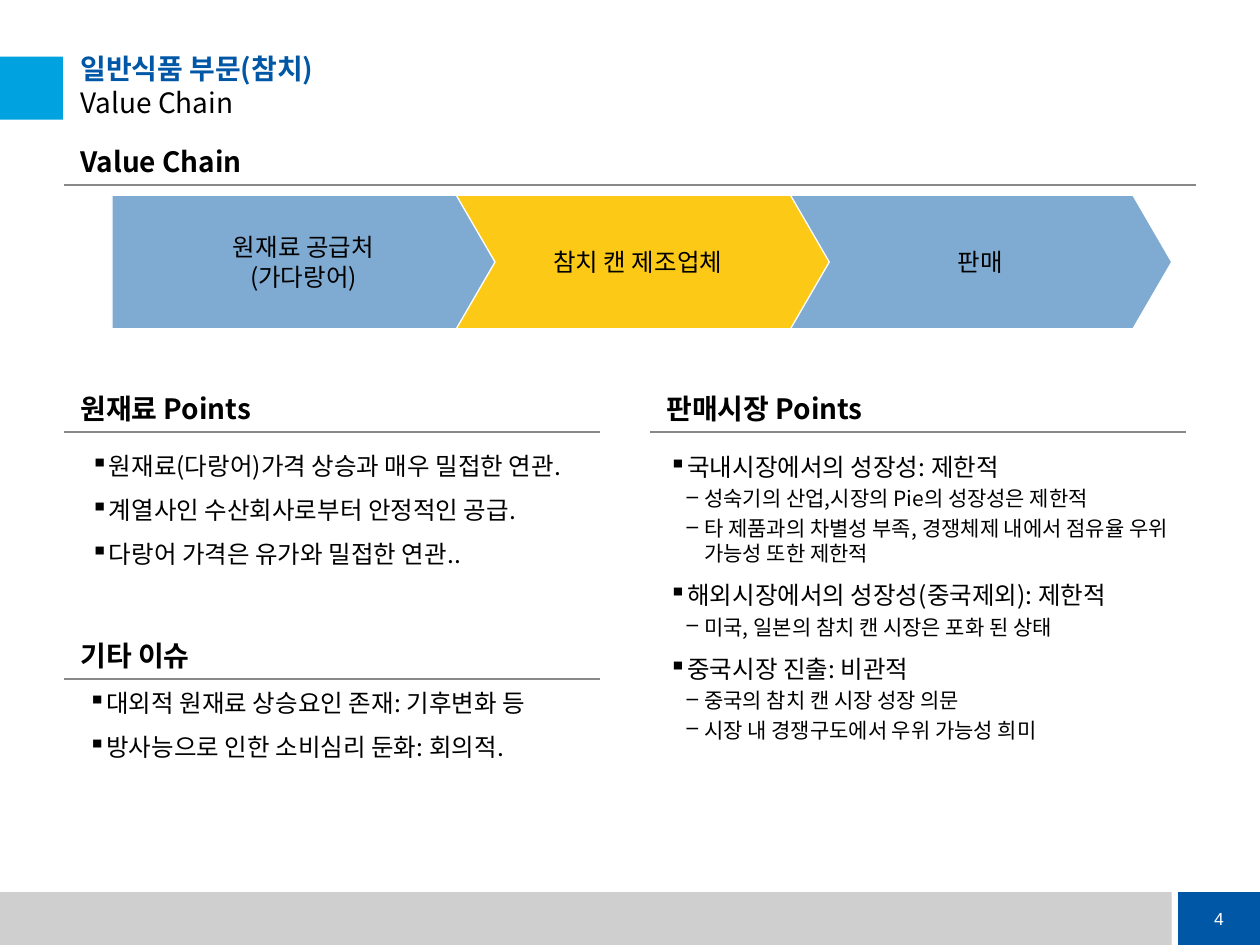
from dataclasses import dataclass
from typing import Optional

from lxml.etree import SubElement
from pptx import Presentation
from pptx.dml.color import RGBColor
from pptx.enum.shapes import MSO_CONNECTOR, MSO_SHAPE
from pptx.enum.text import MSO_ANCHOR, PP_ALIGN
from pptx.oxml.ns import qn
from pptx.util import Pt

COLORS = {
    "blue": "0057A6", "cyan": "00A2DF", "grey": "CFCFCF", "rule": "888888",
    "chain": "7FABD2", "focus": "FCC917", "black": "000000", "white": "FFFFFF",
}
FONT = "Noto Sans CJK KR"
INDENT = 10.08


@dataclass
class Stage:
    left: float
    color: str
    lines: list[str]
    label_width: float
    label_height: float


@dataclass
class Section:
    left: float
    top: float
    title: str
    rule_length: float = 306


@dataclass
class Level:
    bullet: str
    size: float
    space_before: float


@dataclass
class BulletList:
    left: float
    top: float
    height: float
    items: list[tuple[int, str]]


LEVELS = [Level("▪", 14, 8.4), Level("–", 12, 2.4)]

STAGES = [
    Stage(64, "chain", ["원재료 공급처", "(가다랑어)"], 170, 41),
    Stage(255, "focus", ["참치 캔 제조업체"], 135.4, 24.5),
    Stage(450.7, "chain", ["판매"], 49.7, 24.5),
]
CHAIN_TOP, STAGE_WIDTH, STAGE_HEIGHT = 111.6, 218.9, 76.3

SECTIONS = [
    Section(46, 82.8, "Value Chain", 646.6),
    Section(46, 223.9, "원재료 Points"),
    Section(380.9, 223.9, "판매시장 Points"),
    Section(46, 365, "기타 이슈"),
]

LISTS = [
    BulletList(51.8, 257.8, 73.4, [
        (0, "원재료(다랑어)가격 상승과 매우 밀접한 연관."),
        (0, "계열사인 수산회사로부터 안정적인 공급."),
        (0, "다랑어 가격은 유가와 밀접한 연관.."),
    ]),
    BulletList(382.3, 258.5, 164.2, [
        (0, "국내시장에서의 성장성: 제한적"),
        (1, "성숙기의 산업,시장의 Pie의 성장성은 제한적"),
        (1, "타 제품과의 차별성 부족, 경쟁체제 내에서 점유율 우위 가능성 또한 제한적"),
        (0, "해외시장에서의 성장성(중국제외): 제한적"),
        (1, "미국, 일본의 참치 캔 시장은 포화 된 상태"),
        (0, "중국시장 진출: 비관적"),
        (1, "중국의 참치 캔 시장 성장 의문"),
        (1, "시장 내 경쟁구도에서 우위 가능성 희미"),
    ]),
    BulletList(50.4, 393.1, 73.4, [
        (0, "대외적 원재료 상승요인 존재: 기후변화 등"),
        (0, "방사능으로 인한 소비심리 둔화: 회의적."),
    ]),
]


def rgb(color: str) -> RGBColor:
    return RGBColor.from_string(COLORS[color])


def add_span(para, text: str, *, size: float = 14, color: str = "black",
             bold: bool = False, font: str = FONT) -> None:
    span = para.add_run()
    span.text = text
    span.font.size = Pt(size)
    span.font.bold = bold
    span.font.color.rgb = rgb(color)
    span.font.name = font
    # Korean glyphs take the East Asian typeface
    SubElement(span.font._element, qn("a:ea"), typeface=font)


def add_box(page, left: float, top: float, width: float, height: float,
            inset: bool = False):
    frame = page.shapes.add_textbox(Pt(left), Pt(top), Pt(width), Pt(height)).text_frame
    frame.word_wrap = True
    if not inset:
        frame.margin_left = frame.margin_right = 0
        frame.margin_top = frame.margin_bottom = 0
    return frame


def add_block(page, kind, left: float, top: float, width: float, height: float,
              color: str, outline: Optional[str] = None):
    block = page.shapes.add_shape(kind, Pt(left), Pt(top), Pt(width), Pt(height))
    block.shadow.inherit = False
    block.fill.solid()
    block.fill.fore_color.rgb = rgb(color)
    if outline:
        block.line.color.rgb = rgb(outline)
        block.line.width = Pt(0.75)
    else:
        block.line.fill.background()
    return block


def add_stage_label(page, stage: Stage) -> None:
    left = stage.left + (STAGE_WIDTH - stage.label_width) / 2
    top = CHAIN_TOP + (STAGE_HEIGHT - stage.label_height) / 2
    frame = add_box(page, left, top, stage.label_width, stage.label_height, inset=True)
    for index, line in enumerate(stage.lines):
        para = frame.add_paragraph() if index else frame.paragraphs[0]
        para.alignment = PP_ALIGN.CENTER
        add_span(para, line)


def add_section(page, section: Section) -> None:
    frame = add_box(page, section.left, section.top, 296.6, 18)
    add_span(frame.paragraphs[0], section.title, size=16, bold=True)
    start, level = section.left - 9.4, section.top + 23
    rule = page.shapes.add_connector(MSO_CONNECTOR.STRAIGHT, Pt(start), Pt(level),
                                     Pt(start + section.rule_length), Pt(level))
    rule.line.color.rgb = rgb("rule")
    rule.line.width = Pt(1)
    SubElement(rule._element.spPr, qn("a:effectLst"))


def add_bullets(page, bullets: BulletList) -> None:
    frame = add_box(page, bullets.left, bullets.top, 285.8, bullets.height)
    for index, (depth, text) in enumerate(bullets.items):
        level = LEVELS[depth]
        para = frame.add_paragraph() if index else frame.paragraphs[0]
        para.level = depth
        properties = para._p.get_or_add_pPr()
        properties.set("marL", str(Pt(INDENT * (depth + 1))))
        properties.set("indent", str(Pt(-INDENT)))
        SubElement(properties, qn("a:buChar"), char=level.bullet)
        if index:
            para.space_before = Pt(level.space_before)
        add_span(para, text, size=level.size)


def main() -> None:
    deck = Presentation()
    deck.slide_width, deck.slide_height = Pt(720), Pt(540)
    page = deck.slides.add_slide(deck.slide_layouts[6])

    # Footer bar, page number and title marker
    add_block(page, MSO_SHAPE.RECTANGLE, 0, 509.8, 669.6, 30.2, "grey")
    number = add_block(page, MSO_SHAPE.RECTANGLE, 673.2, 509.8, 46.8, 30.2, "blue").text_frame
    number.word_wrap = False
    number.vertical_anchor = MSO_ANCHOR.MIDDLE
    number.paragraphs[0].alignment = PP_ALIGN.CENTER
    add_span(number.paragraphs[0], "4", size=10, color="white", font="Arial")
    add_block(page, MSO_SHAPE.RECTANGLE, 0, 32.4, 36, 36, "cyan")

    # Title
    title = add_box(page, 46, 29.5, 626.4, 47.5).paragraphs[0]
    add_span(title, "일반식품 부문(참치)", size=16, color="blue", bold=True)
    title.add_line_break()
    add_span(title, "Value Chain", size=16)

    # Value chain: each stage overlaps the one to its right
    for stage in reversed(STAGES):
        arrow = add_block(page, MSO_SHAPE.PENTAGON, stage.left, CHAIN_TOP,
                          STAGE_WIDTH, STAGE_HEIGHT, stage.color, outline="white")
        arrow.adjustments[0] = 0.29
    for stage in STAGES:
        add_stage_label(page, stage)

    # Headings with rules, then bullet lists
    for section in SECTIONS:
        add_section(page, section)
    for bullets in LISTS:
        add_bullets(page, bullets)

    deck.save("out.pptx")


if __name__ == "__main__":
    main()
